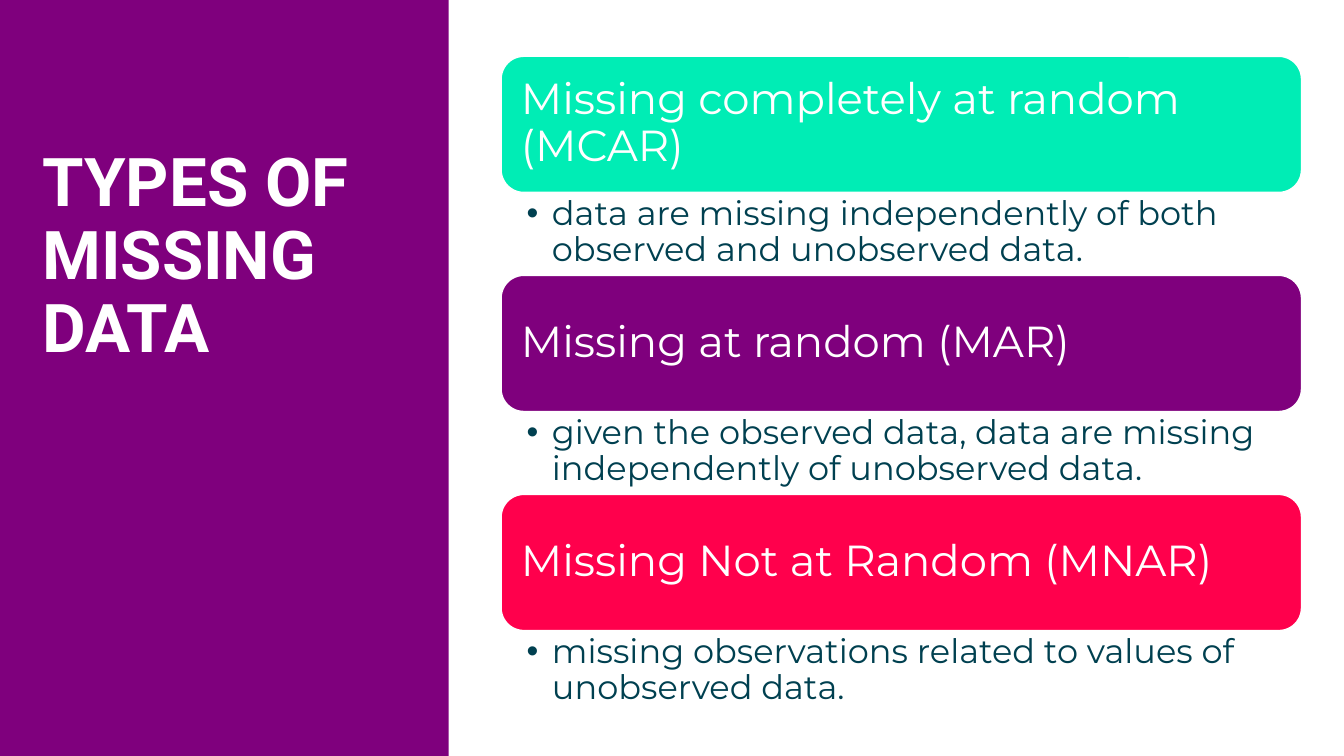
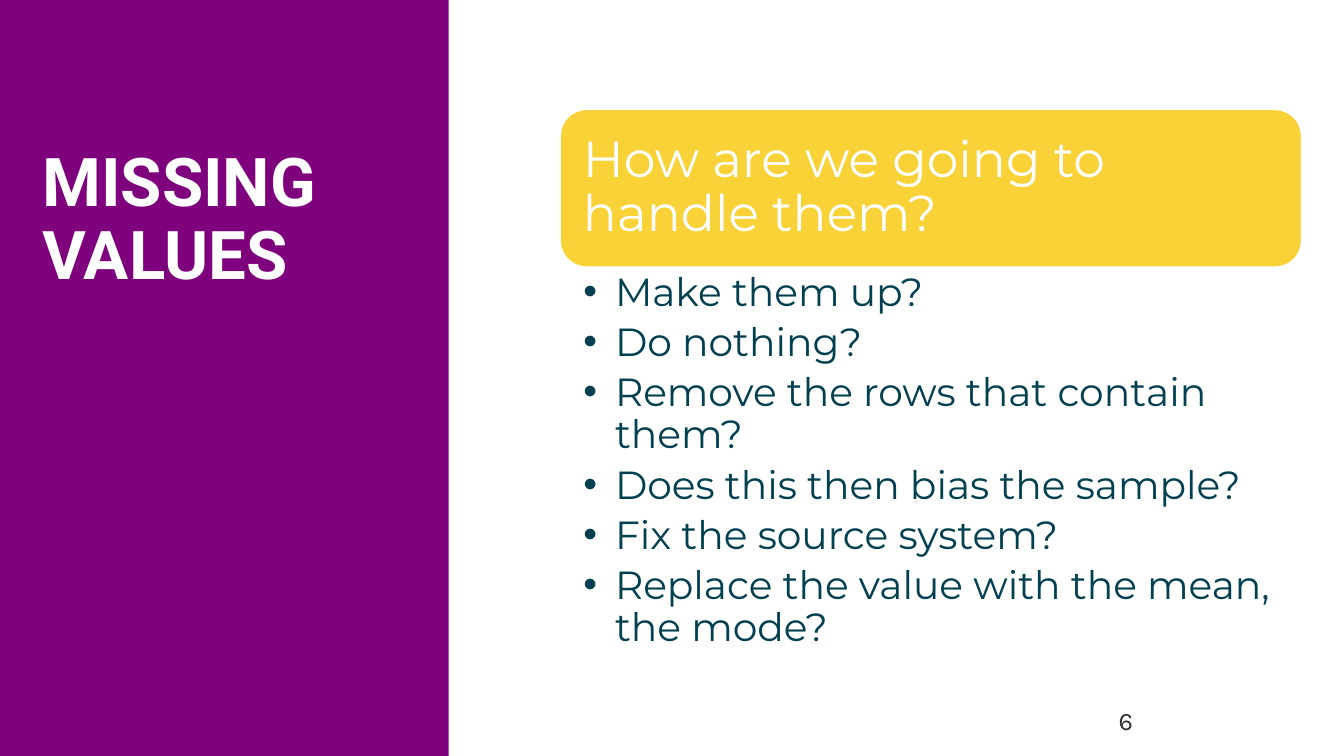
"""Build two slides on missing data, each with a title band and cards with bullet lists."""
import pptx
import pptx.dml.color
import pptx.enum.shapes
import pptx.enum.text
import pptx.oxml
import pptx.oxml.ns
import pptx.util

Cm = pptx.util.Cm
Pt = pptx.util.Pt

PURPLE, WHITE, TEAL, GREY = "7F007D", "FFFFFF", "004050", "303030"
TITLE_FONT, BODY_FONT, NUMBER_FONT = "Roboto", "Montserrat", "Karla"
LINE_SPACING = 0.9

SLIDES = [
    {
        "title": "TYPES OF MISSING DATA",
        "left": 12.63, "top": 1.42, "width": 20.17,
        "card_height": 3.43, "card_inset": 0.33, "card_size": 31,
        "list_height": 2.09, "list_insets": (0.64, 0.1, 0.61, 0.1),
        "list_size": 24, "indent": 0.64,
        "cards": [
            ("Missing completely at random (MCAR)", "00EDB5",
             ["data are missing independently of both observed and unobserved data."]),
            ("Missing at random (MAR)", PURPLE,
             ["given the observed data, data are missing independently of unobserved data."]),
            ("Missing Not at Random (MNAR)", "FF004C",
             ["missing observations related to values of unobserved data."]),
        ],
    },
    {
        "title": "MISSING VALUES",
        "number": "6",
        "left": 14.12, "top": 2.76, "width": 18.68,
        "card_height": 3.97, "card_inset": 0.38, "card_size": 36,
        "list_height": 10.13, "list_insets": (0.58, 0.13, 0.71, 0.13),
        "list_size": 28, "indent": 0.8,
        "cards": [
            ("How are we going to handle them?", "F8D237",
             ["Make them up?",
              "Do nothing?",
              "Remove the rows that contain them?",
              "Does this then bias the sample?",
              "Fix the source system?",
              "Replace the value with the mean, the mode?"]),
        ],
    },
]


def colour(value):
    """Turn a hex string into a colour."""
    return pptx.dml.color.RGBColor.from_string(value)


def set_frame(frame, insets, anchor=pptx.enum.text.MSO_ANCHOR.TOP):
    """Set wrapping, anchor and the left, top, right and bottom insets."""
    frame.word_wrap = True
    frame.auto_size = pptx.enum.text.MSO_AUTO_SIZE.NONE
    frame.vertical_anchor = anchor
    (frame.margin_left, frame.margin_top,
     frame.margin_right, frame.margin_bottom) = map(Cm, insets)


def write(para, text, font, size, fill, bold=False, spacing=LINE_SPACING):
    """Add one left-aligned run to a paragraph."""
    para.alignment = pptx.enum.text.PP_ALIGN.LEFT
    para.line_spacing = spacing
    span = para.add_run()
    span.text = text
    span.font.name = font
    span.font.size = Pt(size)
    span.font.bold = bold
    span.font.color.rgb = colour(fill)


def add_bullet(para, indent):
    """Give a paragraph a hanging round bullet."""
    properties = para._p.get_or_add_pPr()
    properties.set("marL", str(Cm(indent)))
    properties.set("indent", str(-Cm(indent)))
    for tag, name, value in (("a:buFont", "typeface", "Arial"), ("a:buChar", "char", "•")):
        mark = pptx.oxml.parse_xml(f"<{tag} {pptx.oxml.ns.nsdecls('a')}/>")
        mark.set(name, value)
        properties.append(mark)


def add_block(page, kind, place, fill):
    """Add a filled shape without a shadow or a line."""
    block = page.shapes.add_shape(kind, *map(Cm, place))
    block.shadow.inherit = False
    block.fill.solid()
    block.fill.fore_color.rgb = colour(fill)
    block.line.fill.background()
    return block


def add_band(page):
    """Put the title band behind everything else on a page."""
    band = add_block(page, pptx.enum.shapes.MSO_SHAPE.RECTANGLE, (0, 0, 11.31, 19.05), PURPLE)
    page.shapes.element.insert(2, band.element)


def set_title(page, text):
    """Place and fill the title placeholder."""
    title = page.shapes.title
    title.left, title.top, title.width, title.height = map(Cm, (1.07, 3.75, 9.58, 7.65))
    set_frame(title.text_frame, (0, 0, 0, 0))
    write(title.text_frame.paragraphs[0], text, TITLE_FONT, 48, WHITE, True)


def add_card(page, content, top, heading, fill):
    """Add a rounded card with its heading."""
    place = (content["left"], top, content["width"], content["card_height"])
    card = add_block(page, pptx.enum.shapes.MSO_SHAPE.ROUNDED_RECTANGLE, place, fill)
    card.line.color.rgb = colour(WHITE)
    card.line.width = Pt(1)
    set_frame(card.text_frame, [content["card_inset"]] * 4, pptx.enum.text.MSO_ANCHOR.MIDDLE)
    write(card.text_frame.paragraphs[0], heading, BODY_FONT, content["card_size"], WHITE)


def add_list(page, content, top, items):
    """Add the bullet list below a card."""
    place = (content["left"], top, content["width"], content["list_height"])
    frame = page.shapes.add_textbox(*map(Cm, place)).text_frame
    set_frame(frame, content["list_insets"])
    for index, item in enumerate(items):
        para = frame.add_paragraph() if index else frame.paragraphs[0]
        add_bullet(para, content["indent"])
        para.space_after = Pt(content["list_size"] * 0.2)
        write(para, item, BODY_FONT, content["list_size"], TEAL)


def add_number(page, text):
    """Add the page number at the lower right."""
    box = page.shapes.add_textbox(*map(Cm, (27.94, 17.65, 5.92, 1.02)))
    set_frame(box.text_frame, (0.25, 0.13, 0.25, 0.13))
    write(box.text_frame.paragraphs[0], text, NUMBER_FONT, 18, GREY, spacing=1.0)


def main():
    """Build and save the deck."""
    deck = pptx.Presentation()
    deck.slide_width, deck.slide_height = Cm(33.87), Cm(19.05)
    layout = deck.slide_layouts.get_by_name("Title Only")
    for content in SLIDES:
        page = deck.slides.add_slide(layout)
        add_band(page)
        set_title(page, content["title"])
        pitch = content["card_height"] + content["list_height"]
        for row, (heading, fill, items) in enumerate(content["cards"]):
            top = content["top"] + row * pitch
            add_card(page, content, top, heading, fill)
            add_list(page, content, top + content["card_height"], items)
        if "number" in content:
            add_number(page, content["number"])
    deck.save("out.pptx")


if __name__ == "__main__":
    main()
